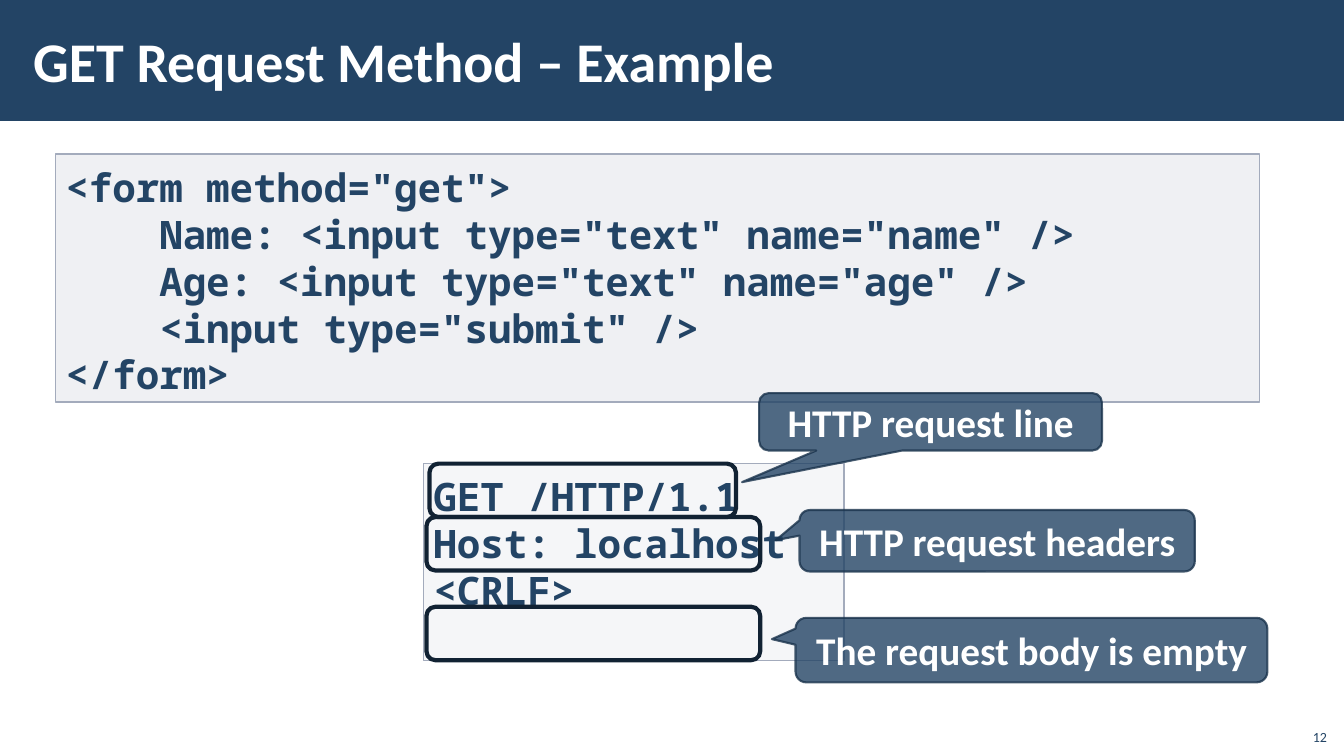
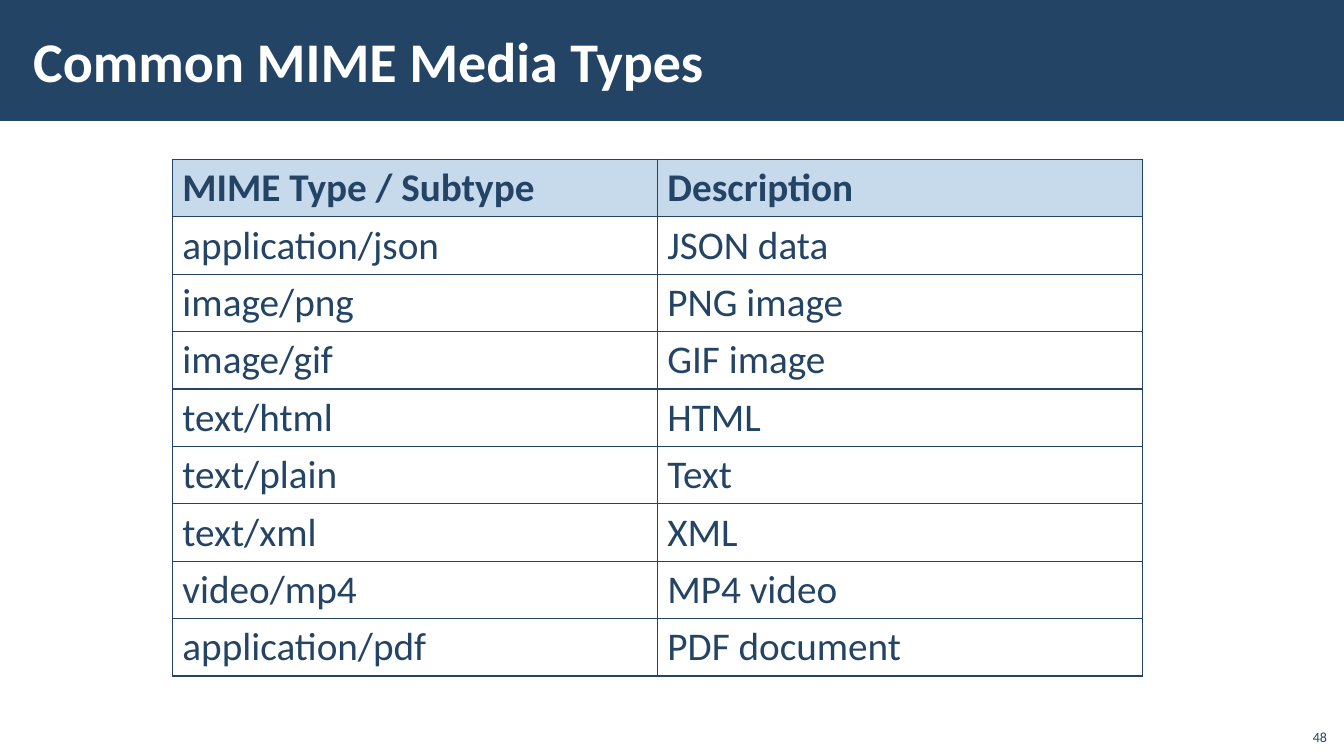
from dataclasses import dataclass

from lxml import etree
from pptx import Presentation
from pptx.dml.color import RGBColor
from pptx.enum import shapes, text
from pptx.oxml import ns
from pptx.util import Pt

PX = 9144  # EMU in one px, 100 px to the inch
WIDTH, HEIGHT = 1333, 750
SANS, MONO = "Calibri", "Noto Sans Mono"
COLORS = {
    "navy": "234465", "white": "FFFFFF", "code fill": "C2C7D2",
    "code line": "A3ABBC", "callout line": "1A334C", "outline": "112233",
    "header": "C7DAEC",
}


@dataclass(frozen=True)
class Area:
    left: int
    top: int
    width: int
    height: int

    def emu(self) -> tuple[int, ...]:
        return tuple(n * PX for n in (self.left, self.top, self.width, self.height))


@dataclass(frozen=True)
class Style:
    size: float
    color: str
    bold: bool = False
    font: str = SANS
    align: text.PP_ALIGN = text.PP_ALIGN.LEFT
    anchor: text.MSO_ANCHOR = text.MSO_ANCHOR.TOP
    insets: tuple[int, int] = (10, 5)
    spacing: float | None = None


@dataclass(frozen=True)
class CodeBox:
    area: Area
    opacity: int
    code: str


@dataclass(frozen=True)
class Callout:
    area: Area
    tip: tuple[float, float]
    label: str


TITLE = Style(40, "white", True, anchor=text.MSO_ANCHOR.MIDDLE, insets=(12, 4))
NUMBER = Style(10, "navy", align=text.PP_ALIGN.RIGHT, anchor=text.MSO_ANCHOR.BOTTOM)
CODE = Style(28, "navy", True, MONO, insets=(10, 9), spacing=33.5)
LABEL = Style(28, "white", True, align=text.PP_ALIGN.CENTER,
              anchor=text.MSO_ANCHOR.MIDDLE)
HEAD_CELL = Style(28, "navy", True)
CELL = Style(28, "navy")

CODE_BOXES = [
    CodeBox(Area(55, 153, 1194, 246), 25, """<form method="get">
    Name: <input type="text" name="name" />
    Age: <input type="text" name="age" />
    <input type="submit" />
</form>"""),
    CodeBox(Area(420, 460, 417, 195), 15, """GET /HTTP/1.1
Host: localhost
<CRLF>"""),
]
CALLOUTS = [
    Callout(Area(753, 390, 340, 57), (-0.55, 1.05), "HTTP request line"),
    Callout(Area(793, 506, 392, 61), (-0.56, -0.01), "HTTP request headers"),
    Callout(Area(789, 613, 468, 64), (-0.55, -0.17), "The request body is empty"),
]
REQUEST_PARTS = [
    Area(426, 460, 304, 53), Area(423, 513, 331, 53), Area(423, 602, 331, 53),
]
MIME_ROWS = [
    ("MIME Type / Subtype", "Description"),
    ("application/json", "JSON data"),
    ("image/png", "PNG image"),
    ("image/gif", "GIF image"),
    ("text/html", "HTML"),
    ("text/plain", "Text"),
    ("text/xml", "XML"),
    ("video/mp4", "MP4 video"),
    ("application/pdf", "PDF document"),
]


def rgb(name: str) -> RGBColor:
    return RGBColor.from_string(COLORS[name])


def write(frame, content: str, style: Style) -> None:
    frame.text = content
    for para in frame.paragraphs:
        para.alignment = style.align
        if style.spacing:
            para.line_spacing = Pt(style.spacing)
        para.font.name = style.font
        para.font.size = Pt(style.size)
        para.font.bold = style.bold
        para.font.color.rgb = rgb(style.color)


def write_box(box, content: str, style: Style) -> None:
    """Write text into a shape, with its insets and anchor."""
    frame = box.text_frame
    frame.word_wrap = True
    frame.vertical_anchor = style.anchor
    frame.margin_left = frame.margin_right = style.insets[0] * PX
    frame.margin_top = frame.margin_bottom = style.insets[1] * PX
    write(frame, content, style)


def add_text(page, area: Area, content: str, style: Style) -> None:
    write_box(page.shapes.add_textbox(*area.emu()), content, style)


def add_box(page, kind, area: Area, fill: str | None = None,
            line: str | None = None, line_width: float = 1):
    box = page.shapes.add_shape(kind, *area.emu())
    box.shadow.inherit = False
    if fill:
        box.fill.solid()
        box.fill.fore_color.rgb = rgb(fill)
    else:
        box.fill.background()
    if line:
        box.line.color.rgb = rgb(line)
        box.line.width = Pt(line_width)
    else:
        box.line.fill.background()
    return box


def set_opacity(box, percent: int, parts: tuple[str, ...] = ("a:solidFill",)) -> None:
    for part in parts:
        for color in box._element.spPr.xpath(f"{part}/a:srgbClr"):
            etree.SubElement(color, ns.qn("a:alpha"), val=str(percent * 1000))


def add_code(page, item: CodeBox) -> None:
    box = add_box(page, shapes.MSO_SHAPE.RECTANGLE, item.area, "code fill", "code line")
    set_opacity(box, item.opacity)
    write_box(box, item.code, CODE)


def add_callout(page, item: Callout) -> None:
    box = add_box(page, shapes.MSO_SHAPE.ROUNDED_RECTANGULAR_CALLOUT, item.area,
                  "navy", "callout line", 1.5)
    box.adjustments[0], box.adjustments[1] = item.tip
    set_opacity(box, 80, ("a:solidFill", "a:ln/a:solidFill"))
    write_box(box, item.label, LABEL)


def add_borders(cell, color: str, width: float) -> None:
    properties = cell._tc.get_or_add_tcPr()
    for side in ("a:lnL", "a:lnR", "a:lnT", "a:lnB"):
        border = etree.SubElement(properties, ns.qn(side), w=str(int(Pt(width))))
        fill = etree.SubElement(border, ns.qn("a:solidFill"))
        etree.SubElement(fill, ns.qn("a:srgbClr"), val=COLORS[color])


def add_grid(page, area: Area, rows: list[tuple[str, ...]]) -> None:
    """Add a table whose first row is a header."""
    table = page.shapes.add_table(len(rows), len(rows[0]), *area.emu()).table
    table.first_row = table.horz_banding = False
    for index, row in enumerate(rows):
        for cell, content in zip(table.rows[index].cells, row):
            add_borders(cell, "navy", 1)
            if index == 0:
                cell.fill.solid()
                cell.fill.fore_color.rgb = rgb("header")
            else:
                cell.fill.background()
            write(cell.text_frame, content, CELL if index else HEAD_CELL)


def add_page(deck, title: str, number: int):
    page = deck.slides.add_slide(deck.slide_layouts[6])
    add_box(page, shapes.MSO_SHAPE.RECTANGLE, Area(0, 0, WIDTH, 120), "navy")
    add_text(page, Area(21, 11, 1063, 97), title, TITLE)
    add_text(page, Area(1286, 712, 40, 32), str(number), NUMBER)
    return page


def add_request_page(deck) -> None:
    page = add_page(deck, "GET Request Method – Example", 12)
    for item in CODE_BOXES:
        add_code(page, item)
    for item in CALLOUTS:
        add_callout(page, item)
    for area in REQUEST_PARTS:
        add_box(page, shapes.MSO_SHAPE.ROUNDED_RECTANGLE, area,
                line="outline", line_width=3)


def add_mime_page(deck) -> None:
    page = add_page(deck, "Common MIME Media Types", 48)
    add_grid(page, Area(171, 158, 962, 513), MIME_ROWS)


def main() -> None:
    deck = Presentation()
    deck.slide_width, deck.slide_height = WIDTH * PX, HEIGHT * PX
    add_request_page(deck)
    add_mime_page(deck)
    deck.save("out.pptx")


if __name__ == "__main__":
    main()
